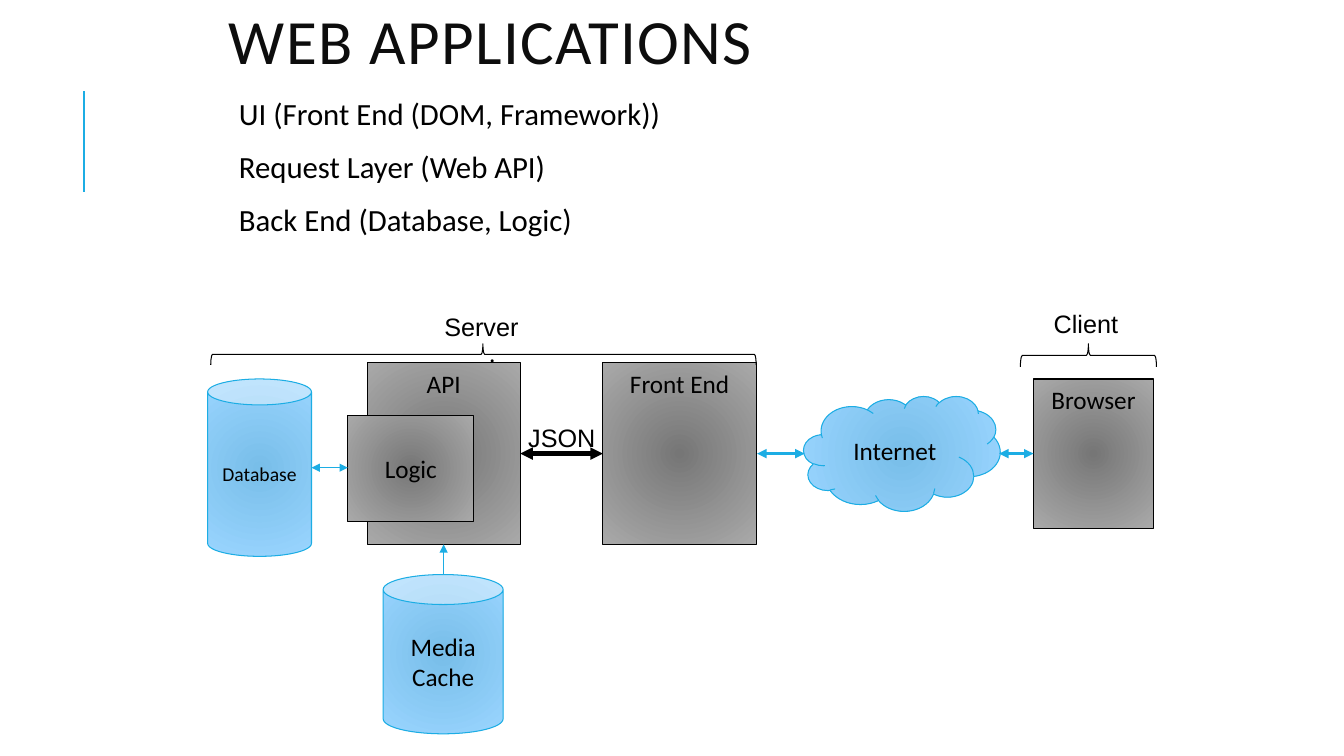
from dataclasses import dataclass

from lxml.etree import SubElement
from pptx import Presentation
from pptx.dml.color import RGBColor
from pptx.enum.shapes import MSO_CONNECTOR, MSO_SHAPE
from pptx.enum.text import MSO_ANCHOR, MSO_AUTO_SIZE, PP_ALIGN
from pptx.oxml.ns import qn
from pptx.util import Inches, Pt

BLUE, BLACK = "1CADE4", "000000"
SKY = ("78BEE9", "9AD5FF")
GREY = ("767676", "A9A9A9")


@dataclass
class Node:
    text: str
    kind: MSO_SHAPE
    box: tuple[float, float, float, float]
    fill: tuple[str, str]
    line: str
    anchor: MSO_ANCHOR = MSO_ANCHOR.MIDDLE
    size: int = 18


@dataclass
class Link:
    start: tuple[float, float]
    end: tuple[float, float]
    color: str
    width: float
    heads: tuple[str, ...] = ("headEnd", "tailEnd")


@dataclass
class Brace:
    box: tuple[float, float, float, float]
    adjust: tuple[float, ...] = ()
    text: str = ""


@dataclass
class Label:
    text: str
    box: tuple[float, float, float, float]
    align: PP_ALIGN = PP_ALIGN.CENTER


CAN, RECT, CLOUD = MSO_SHAPE.CAN, MSO_SHAPE.RECTANGLE, MSO_SHAPE.CLOUD
TOP = MSO_ANCHOR.TOP
NODES = [
    Node("Internet", CLOUD, (7.97, 3.93, 1.95, 1.14), SKY, BLUE),
    Node("Browser", RECT, (10.25, 3.76, 1.19, 1.48), GREY, BLACK, TOP),
    Node("Media Cache", CAN, (3.8, 5.7, 1.19, 1.58), SKY, BLUE),
    Node("API", RECT, (3.64, 3.6, 1.52, 1.8), GREY, BLACK, TOP),
    Node("Front End", RECT, (5.98, 3.6, 1.52, 1.8), GREY, BLACK, TOP),
    Node("Database", CAN, (2.06, 3.76, 1.03, 1.76), SKY, BLUE, size=14),
    Node("Logic", RECT, (3.45, 4.12, 1.25, 1.05), GREY, BLACK),
]
LINKS = [
    Link((0.83, 1.9), (0.83, 0.9), BLUE, 1.5, ()),
    Link((4.4, 5.7), (4.4, 5.4), BLUE, 0.75, ("tailEnd",)),
    Link((7.51, 4.5), (7.98, 4.5), BLUE, 2.25),
    Link((9.91, 4.5), (10.25, 4.5), BLUE, 2.25),
    Link((5.16, 4.5), (5.98, 4.5), BLACK, 3),
    Link((3.09, 4.64), (3.45, 4.64), BLUE, 0.75),
]
BRACES = [
    Brace((10.68, 2.85, 0.23, 1.35)),
    Brace((4.69, 0.81, 0.21, 5.41), (0.083, 0.499), "."),
]
LABELS = [
    Label("JSON", (5.14, 4.14, 1.22, 0.4), PP_ALIGN.LEFT),
    Label("Client", (10.3, 3.01, 0.94, 0.4)),
    Label("Server", (3.41, 3.04, 2.73, 0.4)),
]
LAYERS = [
    "UI (Front End (DOM, Framework))",
    "Request Layer (Web API)",
    "Back End (Database, Logic)",
]


def rgb(code: str) -> RGBColor:
    return RGBColor.from_string(code)


def style(item, size: float, name: str = "Calibri", color: str = BLACK) -> None:
    item.font.size = Pt(size)
    item.font.name = name
    item.font.color.rgb = rgb(color)


def stroke(line, color: str, width: float = 0.75) -> None:
    line.color.rgb = rgb(color)
    line.width = Pt(width)


def place(shape, box: tuple) -> None:
    shape.left, shape.top, shape.width, shape.height = map(Inches, box)


def write(shape, text: str, size: float, font: str = "Calibri",
          align: PP_ALIGN = PP_ALIGN.CENTER) -> None:
    shape.text_frame.word_wrap = True
    para = shape.text_frame.paragraphs[0]
    para.text = text
    para.alignment = align
    style(para, size, font)


def shade(shape, colors: tuple[str, str]) -> None:
    """Fill with a round gradient, from the centre outwards."""
    shape.fill.gradient()
    for stop, color in zip(shape.fill.gradient_stops, colors):
        stop.color.rgb = rgb(color)
    grad = shape.element.spPr.find(qn("a:gradFill"))
    grad.remove(grad.find(qn("a:lin")))
    ring = SubElement(grad, qn("a:path"), {"path": "circle"})
    SubElement(ring, qn("a:fillToRect"), dict.fromkeys("ltrb", "100000"))


def add_node(slide, node: Node) -> None:
    shape = slide.shapes.add_shape(node.kind, *map(Inches, node.box))
    shape.shadow.inherit = False
    shade(shape, node.fill)
    stroke(shape.line, node.line)
    write(shape, node.text, node.size)
    shape.text_frame.vertical_anchor = node.anchor


def add_link(slide, link: Link) -> None:
    wire = slide.shapes.add_connector(
        MSO_CONNECTOR.STRAIGHT, *map(Inches, link.start + link.end))
    stroke(wire.line, link.color, link.width)
    props = wire.element.spPr
    for head in link.heads:
        SubElement(props.find(qn("a:ln")), qn(f"a:{head}"), {"type": "triangle"})
    SubElement(props, qn("a:effectLst"))


def add_brace(slide, brace: Brace) -> None:
    shape = slide.shapes.add_shape(
        MSO_SHAPE.RIGHT_BRACE, *map(Inches, brace.box))
    shape.rotation = 270
    shape.shadow.inherit = False
    shape.fill.background()
    stroke(shape.line, BLACK)
    for place_no, value in enumerate(brace.adjust):
        shape.adjustments[place_no] = value
    if brace.text:
        write(shape, brace.text, 18)


def add_label(slide, label: Label) -> None:
    box = slide.shapes.add_textbox(*map(Inches, label.box))
    write(box, label.text, 18, "Arial", label.align)
    box.text_frame.auto_size = MSO_AUTO_SIZE.SHAPE_TO_FIT_TEXT


def set_title(title) -> None:
    place(title, (2.17, 0.06, 9, 0.4))
    frame = title.text_frame
    frame.vertical_anchor = TOP
    frame.margin_top = Inches(0.1)
    frame.auto_size = MSO_AUTO_SIZE.NONE
    para = frame.paragraphs[0]
    para.alignment = PP_ALIGN.LEFT
    para.line_spacing = 0.8
    run = para.add_run()
    run.text = "WEB APPLICATIONS"
    style(run, 45, color="0D0D0D")
    run.font._element.set("spc", "100")


def set_body(body) -> None:
    place(body, (2.17, 0.93, 9, 4.95))
    frame = body.text_frame
    frame.text = "\n".join(LAYERS)
    frame.auto_size = MSO_AUTO_SIZE.NONE
    for rank, para in enumerate(frame.paragraphs):
        para.line_spacing = 0.9
        para.space_before = Pt(12 if rank else 0)
        para.space_after = Pt(2)
        props = para._p.get_or_add_pPr()
        props.set("marL", str(Inches(0.1)))
        props.set("indent", str(-Inches(0.1)))
        tint = SubElement(props, qn("a:buClr"))
        SubElement(tint, qn("a:srgbClr"), {"val": BLUE})
        SubElement(props, qn("a:buChar"), {"char": " "})
        style(para, 22)


def main() -> None:
    deck = Presentation()
    deck.slide_width, deck.slide_height = Inches(13.33), Inches(7.5)
    slide = deck.slides.add_slide(deck.slide_layouts[1])
    set_title(slide.shapes.title)
    set_body(slide.placeholders[1])
    for add, items in ((add_node, NODES), (add_link, LINKS),
                       (add_brace, BRACES), (add_label, LABELS)):
        for item in items:
            add(slide, item)
    deck.save("out.pptx")


if __name__ == "__main__":
    main()
